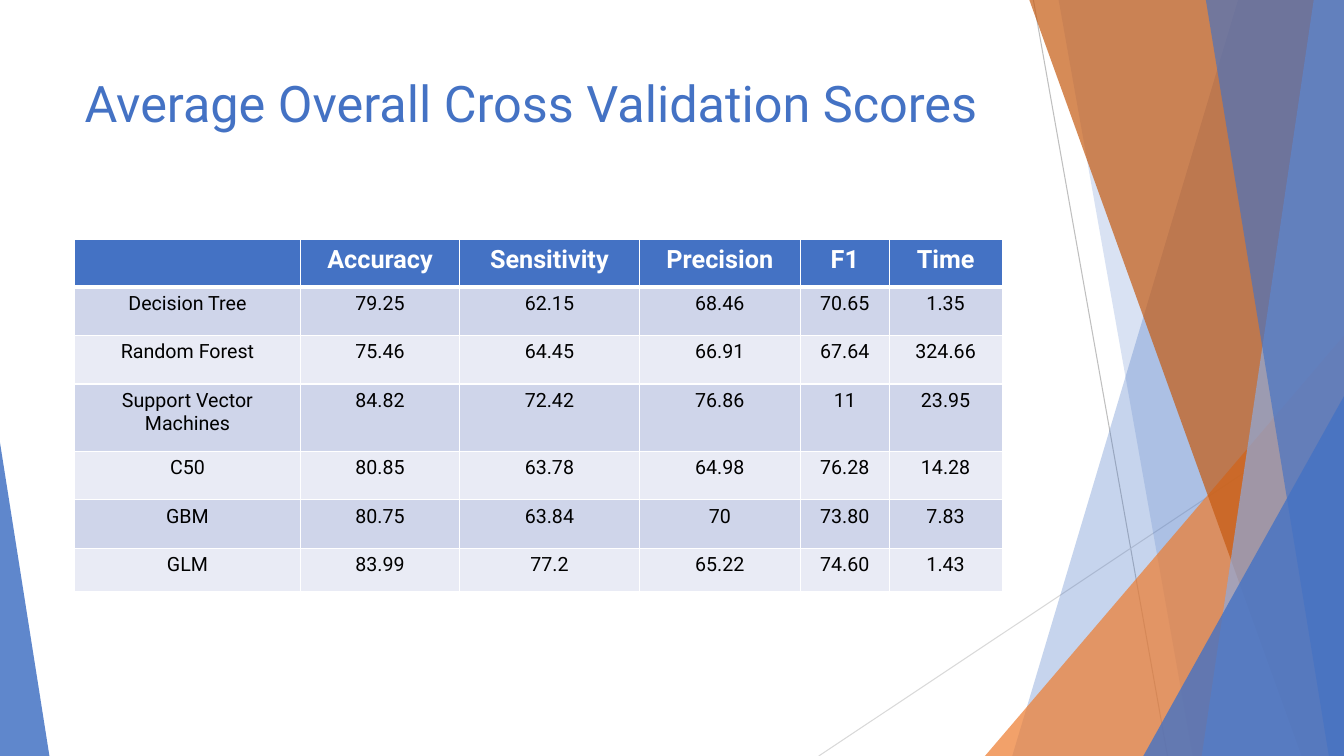
from dataclasses import dataclass

from lxml.etree import SubElement
from pptx import Presentation
from pptx.dml.color import RGBColor
from pptx.enum.shapes import MSO_CONNECTOR as Connector, MSO_SHAPE as Shape
from pptx.enum.text import MSO_ANCHOR as Anchor, PP_ALIGN as Align
from pptx.oxml.ns import qn
from pptx.util import Inches, Pt


@dataclass(frozen=True)
class Theme:
    font: str = "Roboto"
    blue: str = "4472C4"
    light_blue: str = "8FAADC"
    orange: str = "ED7D31"
    dark_orange: str = "C55A11"
    grey: str = "BFBFBF"
    light_grey: str = "D9D9D9"
    white: str = "FFFFFF"
    black: str = "000000"
    bands: tuple = ("CFD5EA", "E9EBF5")
    title_size: int = 36
    header_size: int = 18
    body_size: int = 14


@dataclass(frozen=True)
class Box:
    left: int
    top: int
    width: int
    height: int

    def point(self, x, y):
        """Place a point given in percent of the box."""
        return (round(self.left + self.width * x / 100),
                round(self.top + self.height * y / 100))

    def inner(self, x, y, width, height):
        """Cut out a smaller box given in percent of this one."""
        left, top = self.point(x, y)
        return Box(left, top, round(self.width * width / 100),
                   round(self.height * height / 100))

    @property
    def bounds(self):
        return self.left, self.top, self.width, self.height


THEME = Theme()

# Straight lines: from, to, colour
LINES = [
    ((76.89, 0), (86.87, 100), THEME.grey),
    ((100, 53.73), (60.92, 100), THEME.light_grey),
]
# Facets reaching the right edge: top left x, bottom left x, colour, opacity
BACK_BLUES = [
    (92.12, 75.32, THEME.blue, 30),
    (78.77, 88.75, THEME.blue, 20),
]
FRONT_FACETS = [
    (76.59, 96.85, THEME.dark_orange, 70),
    (97.75, 89.42, THEME.light_blue, 70),
    (89.72, 98.87, THEME.blue, 65),
]
# Corner triangles: left x, right x, top y, apex position, colour, opacity
ORANGE_CORNER = (73.29, 100, 44.4, 1, THEME.orange, 72)
BLUE_CORNERS = [
    (85.07, 100, 52.4, 1, THEME.blue, 80),
    (0, 3.68, 58.53, 0, THEME.blue, 85),
]

HEADERS = ["", "Accuracy", "Sensitivity", "Precision", "F1", "Time"]
SCORES = [
    ["Decision Tree", "79.25", "62.15", "68.46", "70.65", "1.35"],
    ["Random Forest", "75.46", "64.45", "66.91", "67.64", "324.66"],
    ["Support Vector Machines", "84.82", "72.42", "76.86", "11", "23.95"],
    ["C50", "80.85", "63.78", "64.98", "76.28", "14.28"],
    ["GBM", "80.75", "63.84", "70", "73.80", "7.83"],
    ["GLM", "83.99", "77.2", "65.22", "74.60", "1.43"],
]
COLUMN_SHARES = [2.24, 1.58, 1.78, 1.6, 0.88, 1.12]
ROW_SHARES = [0.47, 0.48, 0.48, 0.67, 0.48, 0.48, 0.43]


def rgb(colour):
    return RGBColor.from_string(colour)


def set_font(paragraph, size, colour, bold=False):
    font = paragraph.font
    font.name, font.size, font.bold = THEME.font, Pt(size), bold
    font.color.rgb = rgb(colour)


def paint(shape, colour, opacity):
    shape.shadow.inherit = False
    shape.line.fill.background()
    shape.fill.solid()
    shape.fill.fore_color.rgb = rgb(colour)
    tint = next(shape._element.spPr.iter(qn("a:srgbClr")))
    SubElement(tint, qn("a:alpha")).set("val", str(opacity * 1000))


def add_line(slide, box, start, end, colour):
    line = slide.shapes.add_connector(
        Connector.STRAIGHT, *box.point(*start), *box.point(*end))
    line.line.color.rgb = rgb(colour)
    line.line.width = Pt(0.75)
    SubElement(line._element.spPr, qn("a:effectLst"))


def add_facet(slide, box, top_x, bottom_x, colour, opacity):
    outline = slide.shapes.build_freeform(*box.point(top_x, 0))
    corners = [(100, 0), (100, 100), (bottom_x, 100)]
    outline.add_line_segments([box.point(*corner) for corner in corners])
    paint(outline.convert_to_shape(), colour, opacity)


def add_corner(slide, box, left, right, top, apex, colour, opacity):
    area = box.inner(left, top, right - left, 100 - top)
    corner = slide.shapes.add_shape(Shape.ISOSCELES_TRIANGLE, *area.bounds)
    corner.adjustments[0] = apex
    paint(corner, colour, opacity)


def add_decoration(slide, box):
    for line in LINES:
        add_line(slide, box, *line)
    for facet in BACK_BLUES:
        add_facet(slide, box, *facet)
    add_corner(slide, box, *ORANGE_CORNER)
    for facet in FRONT_FACETS:
        add_facet(slide, box, *facet)
    for corner in BLUE_CORNERS:
        add_corner(slide, box, *corner)


def add_title(slide, box, wording):
    frame = slide.shapes.add_textbox(*box.bounds).text_frame
    frame.word_wrap = True
    frame.vertical_anchor = Anchor.TOP
    title = frame.paragraphs[0]
    title.text = wording
    set_font(title, THEME.title_size, THEME.blue)


def add_borders(cell, top, bottom):
    properties = cell._tc.get_or_add_tcPr()
    for side, width in (("L", 1), ("R", 1), ("T", top), ("B", bottom)):
        border = SubElement(properties, qn(f"a:ln{side}"), w=str(Pt(width)))
        fill = SubElement(border, qn("a:solidFill"))
        SubElement(fill, qn("a:srgbClr"), val=THEME.white)


def add_scores(slide, box):
    rows = [HEADERS] + SCORES
    table = slide.shapes.add_table(
        len(rows), len(HEADERS), *box.bounds).table
    for column, share in zip(table.columns, COLUMN_SHARES):
        column.width = round(box.width * share / sum(COLUMN_SHARES))
    for row, share in zip(table.rows, ROW_SHARES):
        row.height = round(box.height * share / sum(ROW_SHARES))

    for r, values in enumerate(rows):
        if r == 0:
            fill, style = THEME.blue, (THEME.header_size, THEME.white, True)
        else:
            fill = THEME.bands[(r - 1) % 2]
            style = (THEME.body_size, THEME.black)
        for c, value in enumerate(values):
            cell = table.cell(r, c)
            # A thick rule divides the header from the scores
            add_borders(cell, 3 if r == 1 else 1, 3 if r == 0 else 1)
            cell.fill.solid()
            cell.fill.fore_color.rgb = rgb(fill)
            paragraph = cell.text_frame.paragraphs[0]
            paragraph.text = value
            paragraph.alignment = Align.CENTER
            set_font(paragraph, *style)


def main():
    deck = Presentation()
    deck.slide_width, deck.slide_height = Inches(13.33), Inches(7.5)
    slide = deck.slides.add_slide(deck.slide_layouts[6])
    page = Box(0, 0, deck.slide_width, deck.slide_height)
    add_decoration(slide, page)
    add_title(slide, page.inner(5.55, 8.93, 70.52, 19.2),
              "Average Overall Cross Validation Scores")
    add_scores(slide, page.inner(5.55, 31.73, 69.02, 46.53))
    deck.save("out.pptx")


if __name__ == "__main__":
    main()
